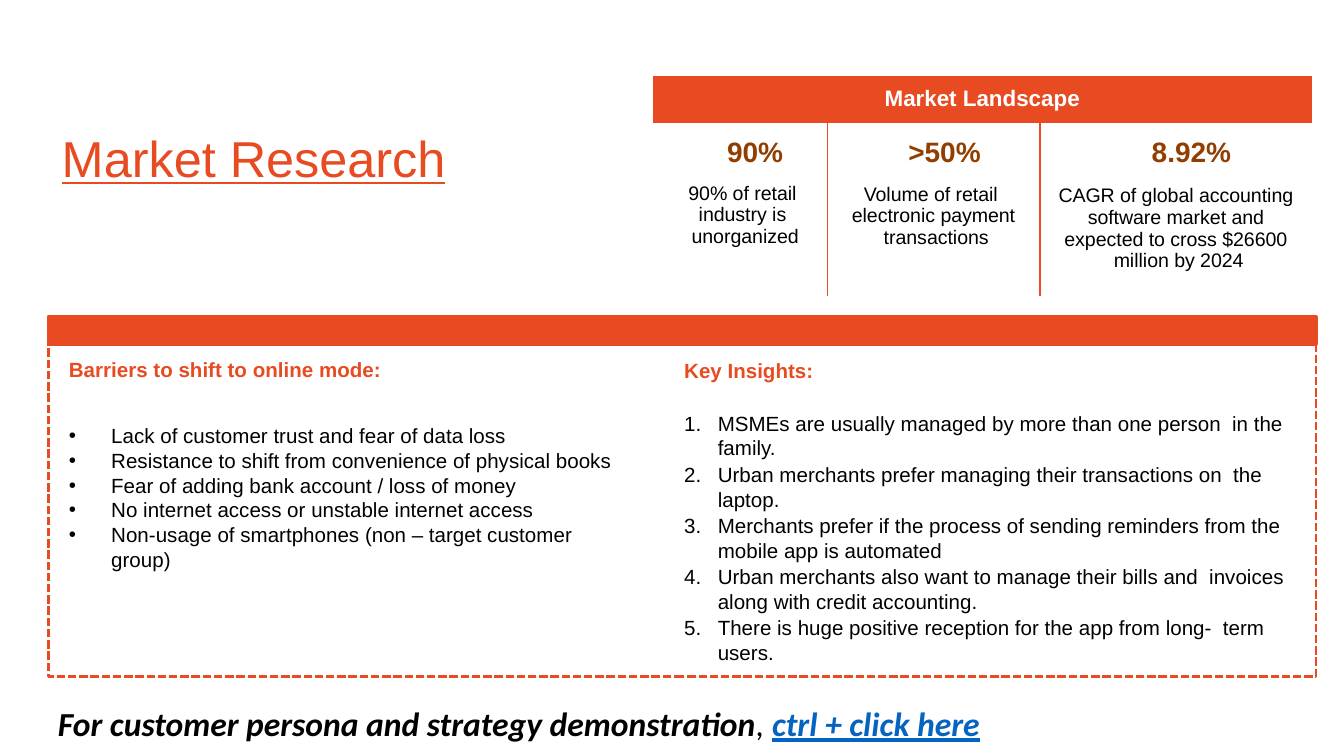
import pptx
import pptx.util
import pptx.dml.color
import pptx.enum.dml
import pptx.enum.shapes
import pptx.enum.text
import pptx.oxml
import pptx.oxml.ns

Pt = pptx.util.Pt
ALIGN = pptx.enum.text.PP_ALIGN
ANCHOR = pptx.enum.text.MSO_ANCHOR
ORANGE, BROWN, BLACK, WHITE, BLUE = "E84B21", "923E00", "000000", "FFFFFF", "0563C1"


def color(value):
    return pptx.dml.color.RGBColor.from_string(value)


def add_xml(parent, xml, index=None):
    namespace = pptx.oxml.ns.nsdecls("a")
    element = pptx.oxml.parse_xml(xml.replace("/>", f" {namespace}/>", 1)
                                  if xml.count("<") == 1
                                  else xml.replace(">", f" {namespace}>", 1))
    parent.insert(len(parent) if index is None else index, element)


class SlideBuilder:
    """Holds the style and the current slide."""
    font_name = "Arial"
    list_size = 11

    def __init__(self, slide):
        self.slide = slide

    def style(self, run, size, fill, bold=False, italic=False, underline=None, name=None):
        font = run.font
        font.name, font.size = name or self.font_name, Pt(size)
        font.bold, font.italic, font.underline = bold, italic, underline
        font.color.rgb = color(fill)

    def paragraph(self, paragraph, text, size, fill, bold=False, align=ALIGN.LEFT,
                  before=0, left=0, right=0, **options):
        paragraph.text = text
        paragraph.alignment = align
        paragraph.space_before = Pt(before)
        properties = paragraph._p.get_or_add_pPr()
        properties.set("marL", str(Pt(left)))
        properties.set("marR", str(Pt(right)))
        self.style(paragraph.runs[0], size, fill, bold, **options)

    def text_box(self, left, top, width, height, insets=(0, 0.7, 0, 0), anchor=ANCHOR.TOP):
        shape = self.slide.shapes.add_textbox(Pt(left), Pt(top), Pt(width), Pt(height))
        frame = shape.text_frame
        frame.word_wrap = True
        frame.vertical_anchor = anchor
        (frame.margin_left, frame.margin_top,
         frame.margin_right, frame.margin_bottom) = map(Pt, insets)
        return frame

    def list_box(self, place, heading, items, bullet, indent, gap, before, right=0):
        frame = self.text_box(*place)
        self.paragraph(frame.paragraphs[0], heading, self.list_size, ORANGE, True, left=0.7)
        for number, item in enumerate(items):
            paragraph = frame.add_paragraph()
            self.paragraph(paragraph, item, self.list_size, BLACK, left=indent, right=right,
                           before=before if number else gap)
            properties = paragraph._p.get_or_add_pPr()
            properties.set("indent", str(-Pt(indent - 0.7)))
            add_xml(properties, '<a:buFont typeface="Arial"/>')
            add_xml(properties, bullet)

    def rectangle(self, left, top, width, height, fill=None, line_width=1.5, dash=None):
        shape = self.slide.shapes.add_shape(pptx.enum.shapes.MSO_SHAPE.RECTANGLE,
                                            Pt(left), Pt(top), Pt(width), Pt(height))
        shape.shadow.inherit = False
        if fill:
            shape.fill.solid()
            shape.fill.fore_color.rgb = color(fill)
        else:
            shape.fill.background()
        shape.line.color.rgb = color(ORANGE)
        shape.line.width = Pt(line_width)
        if dash:
            shape.line.dash_style = dash

    def cell(self, cell, top, fill=None, borders=()):
        cell.margin_left = cell.margin_right = cell.margin_bottom = 0
        cell.margin_top = Pt(top)
        if fill:
            cell.fill.solid()
            cell.fill.fore_color.rgb = color(fill)
        else:
            cell.fill.background()
        for index, side in enumerate(borders):
            add_xml(cell._tc.get_or_add_tcPr(),
                    f'<a:ln{side} w="{Pt(0.75)}"><a:solidFill><a:srgbClr val="{ORANGE}"/>'
                    f'</a:solidFill></a:ln{side}>', index)
        return cell.text_frame

    def statistics_table(self, left, top, widths, heights, title, columns):
        table = self.slide.shapes.add_table(2, len(widths), Pt(left), Pt(top),
                                            Pt(sum(widths)), Pt(sum(heights))).table
        table.first_row = table.horz_banding = False
        for column, width in zip(table.columns, widths):
            column.width = Pt(width)
        for row, height in zip(table.rows, heights):
            row.height = Pt(height)
        for index in range(len(widths)):
            header = self.cell(table.cell(0, index), 5.8, ORANGE)
            if index == 0:
                self.paragraph(header.paragraphs[0], title, 12, WHITE, True, ALIGN.CENTER)
        table.cell(0, 0).merge(table.cell(0, len(widths) - 1))
        last = len(columns) - 1
        for index, (value, value_left, note, note_left, note_right, before) in enumerate(columns):
            borders = ("L" if index > 0 else "") + ("R" if index < last else "")
            frame = self.cell(table.cell(1, index), 6.8, borders=borders)
            self.paragraph(frame.paragraphs[0], value, 15, BROWN, True, left=value_left)
            self.paragraph(frame.add_paragraph(), note, 10.5, BLACK, align=ALIGN.CENTER,
                           left=note_left, right=note_right, before=before)


presentation = pptx.Presentation()
presentation.slide_width, presentation.slide_height = Pt(720), Pt(405)
builder = SlideBuilder(presentation.slides.add_slide(presentation.slide_layouts[6]))

# Title
title = builder.text_box(32.4, 67, 244, 34, anchor=ANCHOR.MIDDLE)
builder.paragraph(title.paragraphs[0], "Market Research", 27, ORANGE, left=0.7, underline=True)

# Key insights
builder.list_box((365.8, 190.8, 339, 168), "Key Insights:", [
    "MSMEs are usually managed by more than one person  in the family.",
    "Urban merchants prefer managing their transactions on  the laptop.",
    "Merchants prefer if the process of sending reminders from the mobile app is automated",
    "Urban merchants also want to manage their bills and  invoices along with credit accounting.",
    "There is huge positive reception for the app from long-  term users.",
], '<a:buAutoNum type="arabicPeriod"/>', indent=18.7, gap=15.3, before=1)

# Market landscape
builder.statistics_table(349.2, 40.5, (94.2, 113.8, 146.2), (26, 91.5), "Market Landscape", [
    ("90%", 40.3, "90% of retail  industry is  unorganized", 19.4, 13.5, 7.8),
    (">50%", 43.2, "Volume of retail  electronic payment  transactions", 11.5, 11.8, 8.4),
    ("8.92%", 59.8, "CAGR of global accounting  software market and  expected to cross "
     "$26600  million by 2024", 9.4, 7, 9.2),
])

# Dashed frame with its top band
builder.rectangle(26, 169.5, 679, 193, dash=pptx.enum.dml.MSO_LINE.SQUARE_DOT)
builder.rectangle(26, 170, 679, 14.2, ORANGE, 2)

# Barriers
builder.list_box((36.2, 190.8, 318, 117), "Barriers to shift to online mode:", [
    "Lack of customer trust and fear of data loss",
    "Resistance to shift from convenience of physical books",
    "Fear of adding bank account / loss of money",
    "No internet access or unstable internet access",
    "Non-usage of smartphones (non \u2013 target customer  group)",
], '<a:buChar char="\u2022"/>', indent=23.4, gap=22.1, before=0, right=18)

# Closing line
closing = builder.text_box(24, 373, 532, 29, insets=(7.2, 3.6, 7.2, 3.6)).paragraphs[0]
for text, fill, bold, underline in (
        ("For customer persona and strategy demonstration", BLACK, True, None),
        (",\u00a0", BLACK, False, None),
        ("ctrl + click here", BLUE, True, True)):
    run = closing.add_run()
    run.text = text
    builder.style(run, 18, fill, bold, True, underline, "Calibri")

presentation.save("out.pptx")
